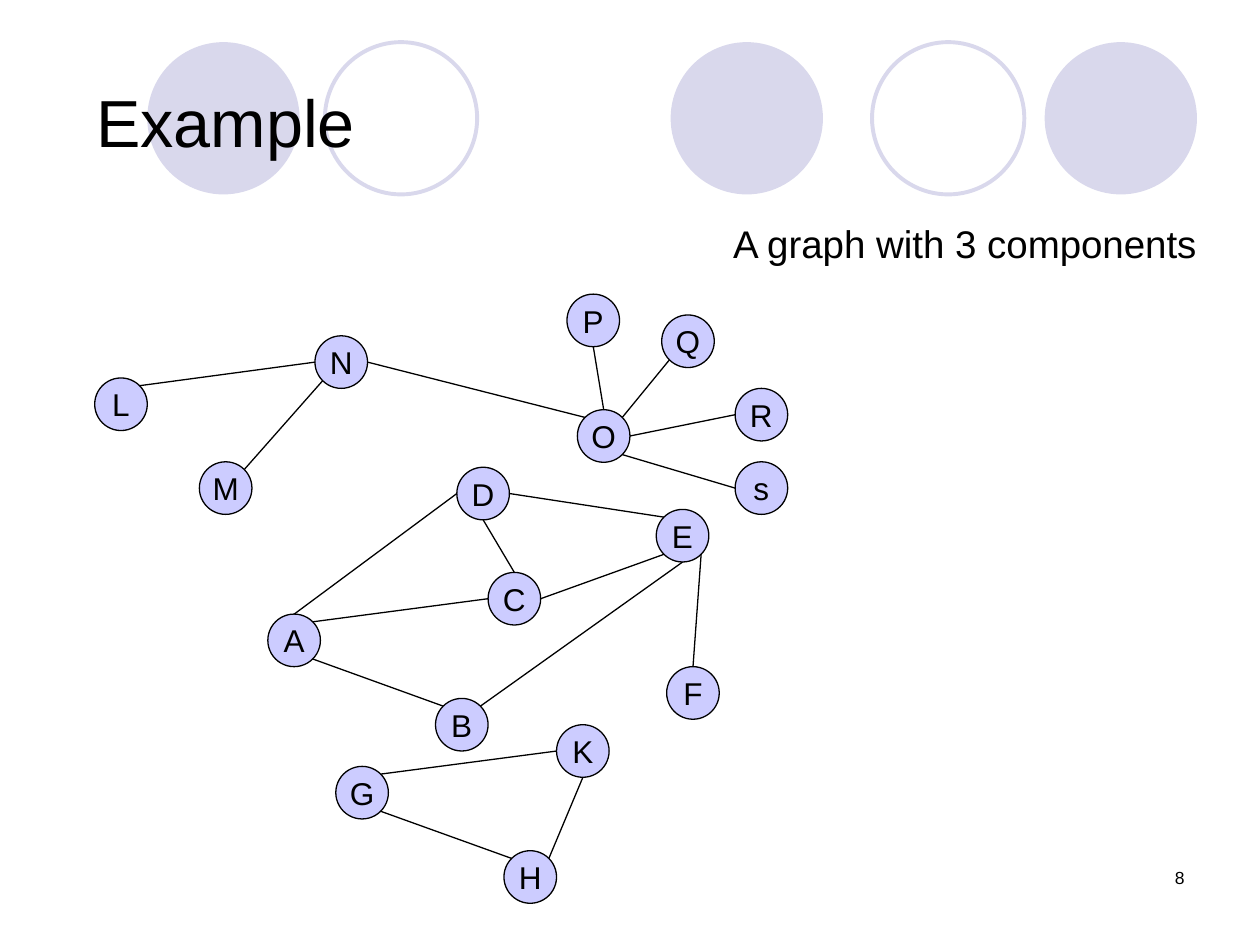
"""Build a slide that shows a graph with three connected components."""
import math

from lxml import etree
from pptx import Presentation
from pptx import util as u
from pptx.dml.color import RGBColor
from pptx.enum import shapes, text
from pptx.oxml.ns import qn

BLACK = RGBColor(0x00, 0x00, 0x00)
LAVENDER = RGBColor(0xD9, 0xD8, 0xEC)
NODE_FILL = RGBColor(0xCC, 0xCC, 0xFF)
FONT = "Arial"

NODE_SIZE = 1.06
CIRCLE_SIZE = 3.07
CIRCLE_TOP = 0.85
CIRCLES = [(13.52, True), (21.06, True), (2.97, True), (17.58, False), (6.55, False)]

NODES = {
    "D": (9.21, 9.42), "E": (13.23, 10.27), "A": (5.4, 12.38),
    "C": (9.84, 11.54), "F": (13.44, 13.44), "B": (8.78, 14.08),
    "G": (6.77, 15.45), "K": (11.22, 14.61), "H": (10.16, 17.15),
    "L": (1.91, 7.62), "N": (6.35, 6.77), "M": (4.02, 9.31),
    "O": (11.64, 8.26), "R": (14.82, 7.83), "Q": (13.34, 6.35),
    "P": (11.43, 5.93), "s": (14.82, 9.31),
}
EDGES = [
    ("A", "SE", "B", "NW"), ("A", "NE", "C", "W"), ("D", "W", "A", "N"),
    ("D", "S", "C", "N"), ("D", "E", "E", "NW"), ("C", "E", "E", "SW"),
    ("F", "N", "E", "SE"), ("E", "S", "B", "NE"),
    ("G", "SE", "H", "NW"), ("G", "NE", "K", "W"), ("K", "S", "H", "NE"),
    ("L", "NE", "N", "W"), ("M", "NE", "N", "SW"), ("N", "E", "O", "NW"),
    ("O", "E", "R", "W"), ("O", "N", "P", "S"), ("O", "NE", "Q", "SW"),
    ("O", "SE", "s", "W"),
]
DIRECTIONS = ["E", "SE", "S", "SW", "W", "NW", "N", "NE"]


def write_text(shape, content, *, size, align=text.PP_ALIGN.LEFT,
               anchor=text.MSO_ANCHOR.TOP, wrap=True):
    """Put one formatted paragraph into a shape."""
    frame = shape.text_frame
    frame.word_wrap = wrap
    frame.vertical_anchor = anchor
    paragraph = frame.paragraphs[0]
    paragraph.text = content
    paragraph.alignment = align
    paragraph.font.name = FONT
    paragraph.font.size = u.Pt(size)
    paragraph.font.color.rgb = BLACK


def add_text(slide, content, left, top, width, height, **text_format):
    """Add a text box."""
    box = slide.shapes.add_textbox(u.Cm(left), u.Cm(top), u.Cm(width), u.Cm(height))
    write_text(box, content, **text_format)


def add_ellipse(slide, left, top, diameter, *, fill=None, line=None, line_width=0.75):
    """Add a circle with an optional fill and outline."""
    shape = slide.shapes.add_shape(shapes.MSO_SHAPE.OVAL, u.Cm(left), u.Cm(top),
                                   u.Cm(diameter), u.Cm(diameter))
    shape.shadow.inherit = False
    if fill is None:
        shape.fill.background()
    else:
        shape.fill.solid()
        shape.fill.fore_color.rgb = fill
    if line is None:
        shape.line.fill.background()
    else:
        shape.line.color.rgb = line
        shape.line.width = u.Pt(line_width)
    return shape


def add_circle(slide, left, filled):
    """Add a decorative circle, either filled or outlined."""
    if filled:
        add_ellipse(slide, left, CIRCLE_TOP, CIRCLE_SIZE, fill=LAVENDER)
    else:
        add_ellipse(slide, left, CIRCLE_TOP, CIRCLE_SIZE, line=LAVENDER, line_width=2.25)


def add_node(slide, name):
    """Add a labelled graph node."""
    node = add_ellipse(slide, *NODES[name], NODE_SIZE, fill=NODE_FILL, line=BLACK)
    write_text(node, name, size=18, align=text.PP_ALIGN.CENTER,
               anchor=text.MSO_ANCHOR.MIDDLE, wrap=False)


def rim_point(name, direction):
    """Return the point on a node's rim in a compass direction."""
    left, top = NODES[name]
    angle = DIRECTIONS.index(direction) * math.pi / 4
    radius = NODE_SIZE / 2
    return (u.Cm(left + radius * (1 + math.cos(angle))),
            u.Cm(top + radius * (1 + math.sin(angle))))


def add_edge(slide, start, start_direction, end, end_direction):
    """Join two nodes with a straight line."""
    edge = slide.shapes.add_connector(shapes.MSO_CONNECTOR.STRAIGHT,
                                      *rim_point(start, start_direction),
                                      *rim_point(end, end_direction))
    edge.line.color.rgb = BLACK
    edge.line.width = u.Pt(0.75)
    etree.SubElement(edge._element.spPr, qn("a:effectLst"))


def main():
    """Build and save the presentation."""
    presentation = Presentation()
    presentation.slide_width = u.Cm(25.4)
    presentation.slide_height = u.Cm(19.05)
    slide = presentation.slides.add_slide(presentation.slide_layouts[6])

    for left, filled in CIRCLES:
        add_circle(slide, left, filled)
    add_text(slide, "8", 18.2, 17.35, 5.93, 1.27, size=10, align=text.PP_ALIGN.RIGHT)
    add_text(slide, "Example", 1.69, 1.06, 21.8, 2.75, size=38,
             anchor=text.MSO_ANCHOR.MIDDLE)
    for name in NODES:
        add_node(slide, name)
    for edge in EDGES:
        add_edge(slide, *edge)
    add_text(slide, "A graph with 3 components", 14.53, 4.32, 9.88, 1.2,
             size=22, wrap=False)

    presentation.save("out.pptx")


if __name__ == "__main__":
    main()
